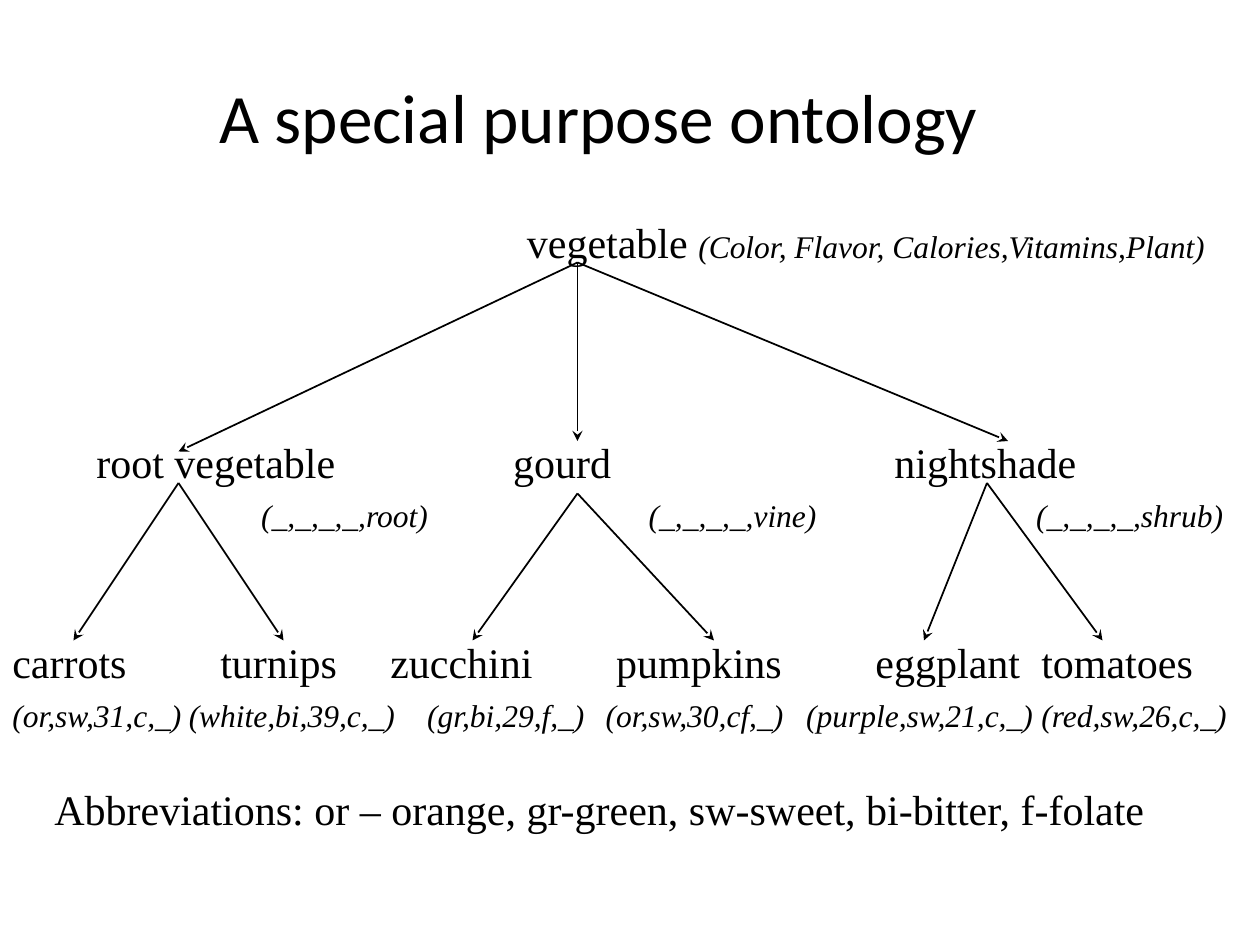
from lxml.etree import SubElement
from pptx import Presentation
from pptx.dml.color import RGBColor
from pptx.enum.shapes import MSO_CONNECTOR
from pptx.enum.text import MSO_ANCHOR, PP_ALIGN
from pptx.oxml.ns import qn
from pptx.util import Inches, Pt

BLACK = RGBColor(0, 0, 0)
SERIF = "Times New Roman"
NAME, TUPLE = 24, 18  # concept names are upright, attribute tuples small italic

prs = Presentation()
prs.slide_width, prs.slide_height = Inches(10), Inches(7.5)
CELL = prs.slide_width / 120  # the slide is a grid of 120 columns by 90 rows
s = prs.slides.add_slide(prs.slide_layouts[6])


def grid(*cells):
    return [round(c * CELL) for c in cells]


def add_text(box, lines, font=SERIF):
    """Add a text box; each line is (runs, tab stops), each run (text, size)."""
    tf = s.shapes.add_textbox(*grid(*box)).text_frame
    tf.word_wrap = True
    for i, (runs, stops) in enumerate(lines):
        p = tf.add_paragraph() if i else tf.paragraphs[0]
        if i:
            p.space_before = Pt(5.3)
        if stops:
            tabs = SubElement(p._p.get_or_add_pPr(), qn("a:tabLst"))
            for pos in grid(*stops):
                SubElement(tabs, qn("a:tab"), pos=str(pos), algn="l")
        for text, size in runs:
            r = p.add_run()
            r.text = text
            r.font.name, r.font.size = font, Pt(size)
            r.font.italic = size == TUPLE
            r.font.color.rgb = BLACK
    return tf


# Concept levels, from the root down to the leaves
add_text((49, 20, 68, 6), [
    ([("vegetable ", NAME),
      ("(Color, Flavor, Calories,Vitamins,Plant)", TUPLE)], []),
])
add_text((8, 41, 111, 10.8), [
    ([("root vegetable\tgourd\tnightshade", NAME)], [39.7, 76]),
    ([("\t(_,_,_,_,root)\t(_,_,_,_,vine)\t(_,_,_,_,shrub)", TUPLE)],
     [15.7, 52.6, 89.5]),
])
add_text((0, 60, 121, 10.8), [
    ([("carrots\tturnips\tzucchini\tpumpkins\teggplant\ttomatoes", NAME)],
     [19.8, 36, 57.5, 82.2, 98]),
    ([("(or,sw,31,c,_)\t(white,bi,39,c,_)\t(gr,bi,29,f,_)\t(or,sw,30,cf,_)"
       "\t(purple,sw,21,c,_)\t(red,sw,26,c,_)", TUPLE)],
     [16.8, 39.5, 56.5, 75.6, 98]),
])

# Arrows from each parent to its children, in grid cells
branches = {
    (55, 25): [(17, 43), (55, 42), (96, 42)],
    (17, 46): [(7, 61), (27, 61)],
    (55, 47): [(45, 61), (68, 61)],
    (94, 46): [(88, 61), (105, 61)],
}
for parent, children in branches.items():
    for child in children:
        arrow = s.shapes.add_connector(MSO_CONNECTOR.STRAIGHT,
                                       *grid(*parent, *child))
        arrow.line.color.rgb = BLACK
        arrow.line.width = Pt(1)
        SubElement(arrow.line._get_or_add_ln(), qn("a:tailEnd"), type="stealth")
        SubElement(arrow._element.spPr, qn("a:effectLst"))

add_text((4, 74, 107, 6), [
    ([("Abbreviations: or – orange, gr-green, sw-sweet, bi-bitter, f-folate",
       NAME)], []),
])

title = add_text((0, 2, 114, 13.6),
                 [([("A special purpose ontology", 39.6)], [])], "Calibri")
title.vertical_anchor = MSO_ANCHOR.BOTTOM
title.paragraphs[0].alignment = PP_ALIGN.CENTER

prs.save("out.pptx")
